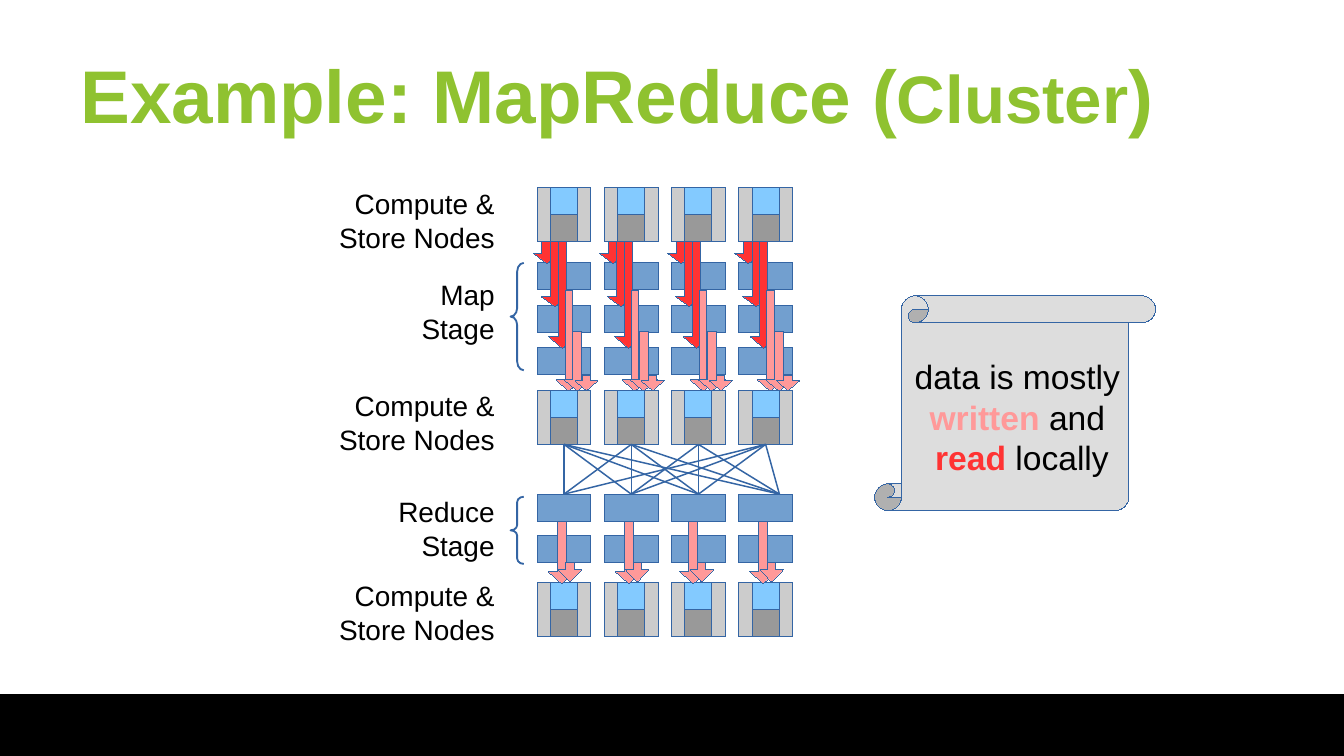
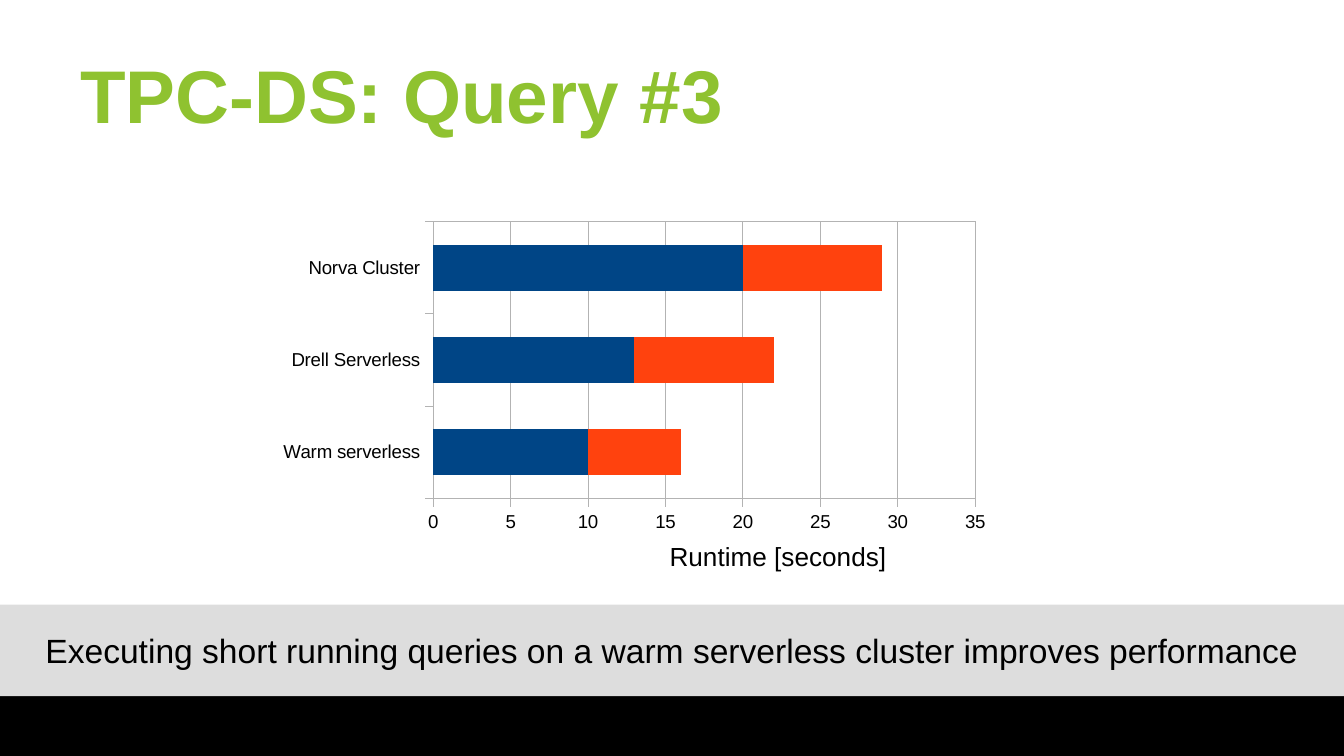
from dataclasses import dataclass
from typing import NamedTuple

from lxml import etree
from pptx import Presentation
from pptx import util as u
from pptx.chart import data
from pptx.dml.color import RGBColor
from pptx.enum import chart as ch
from pptx.enum import shapes as sh
from pptx.enum import text as tx
from pptx.oxml import ns

FONT = "Arial"
GREEN = RGBColor(0x8F, 0xC2, 0x30)
BLACK = RGBColor(0x00, 0x00, 0x00)
OUTLINE = RGBColor(0x34, 0x65, 0xA4)
STAGE = RGBColor(0x72, 0x9F, 0xCF)
NODE = RGBColor(0xCC, 0xCC, 0xCC)
STORE = RGBColor(0x99, 0x99, 0x99)
COMPUTE = RGBColor(0x83, 0xCA, 0xFF)
READ = RGBColor(0xFF, 0x33, 0x33)
WRITTEN = RGBColor(0xFF, 0x99, 0x99)
PALE = RGBColor(0xDD, 0xDD, 0xDD)
GRID = RGBColor(0xB3, 0xB3, 0xB3)
NAVY = RGBColor(0x00, 0x45, 0x86)
ORANGE = RGBColor(0xFF, 0x42, 0x0E)

HAIRLINE = 0.01
SLIDE_WIDTH, SLIDE_HEIGHT = 25.4, 14.29
COLUMNS = [10.15 + 1.27 * column for column in range(4)]
NODE_SIZE, HALF = 1.02, 0.51
NODE_TOPS = (3.55, 7.38, 11.01)
MAP_TOPS = (4.97, 5.77, 6.57)
REDUCE_TOPS = (9.34, 10.13)
LABEL_RIGHT = 9.6


class Box(NamedTuple):
    left: float
    top: float
    width: float
    height: float

    def lengths(self) -> list:
        return [u.Cm(value) for value in self]


class Run(NamedTuple):
    text: str
    color: RGBColor = BLACK
    bold: bool = False


@dataclass(frozen=True)
class Arrow:
    offset: float
    top: float
    width: float
    height: float
    adjust: tuple
    color: RGBColor


@dataclass(frozen=True)
class Label:
    text: str
    top: float
    width: float
    height: float


MAP_LEFTS = (10.08, 11.33, 12.62, 13.89)
MAP_ARROWS = (
    Arrow(0, 4.57, 0.51, 0.41, (0.36, 0.47), READ),
    Arrow(0.15, 4.57, 0.51, 1.22, (0.32, 0.36), READ),
    Arrow(0.29, 4.57, 0.51, 2.01, (0.29, 0.43), READ),
    Arrow(0.43, 5.49, 0.48, 1.9, (0.29, 0.43), WRITTEN),
    Arrow(0.58, 6.27, 0.51, 1.12, (0.33, 0.42), WRITTEN),
    Arrow(0.79, 7.09, 0.43, 0.29, (0.36, 0.63), WRITTEN),
)
REDUCE_LEFTS = (10.36, 11.63, 12.85, 14.17)
REDUCE_ARROWS = (
    Arrow(0, 9.86, 0.51, 1.17, (0.33, 0.44), WRITTEN),
    Arrow(0.2, 10.64, 0.43, 0.36, (0.36, 0.63), WRITTEN),
)
LABELS = (
    Label("Compute & Store Nodes", 3.4, 4.27, 1.42),
    Label("Map Stage", 5.13, 2.24, 1.68),
    Label("Compute & Store Nodes", 7.22, 4.27, 1.42),
    Label("Reduce Stage", 9.23, 3, 1.93),
    Label("Compute & Store Nodes", 10.82, 4.27, 1.42),
)
BRACES = (
    (Box(9.65, 4.97, 0.25, 2.03), 0.65),
    (Box(9.65, 9.39, 0.25, 1.27), 0.4),
)
REMARK = (
    (Run("data is mostly "),),
    (Run("written", WRITTEN, True), Run(" and ")),
    (Run("read", READ, True), Run(" locally")),
)


def write(paragraph, text: str, *, size: float, color: RGBColor = BLACK,
          bold: bool = False, align=tx.PP_ALIGN.LEFT) -> None:
    paragraph.alignment = align
    run = paragraph.add_run()
    run.text = text
    run.font.name = FONT
    run.font.size = u.Pt(size)
    run.font.bold = bold
    run.font.color.rgb = color


def add_frame(slide, box: Box, wrap: bool = True):
    frame = slide.shapes.add_textbox(*box.lengths()).text_frame
    frame.word_wrap = wrap
    return frame


def add_block(shapes, box: Box, fill=None, line=None, line_width: float = HAIRLINE,
              kind=sh.MSO_SHAPE.RECTANGLE, adjust: tuple = ()):
    block = shapes.add_shape(kind, *box.lengths())
    block.shadow.inherit = False
    for index, value in enumerate(adjust):
        block.adjustments[index] = value
    if fill is None:
        block.fill.background()
    else:
        block.fill.solid()
        block.fill.fore_color.rgb = fill
    if line is None:
        block.line.fill.background()
    else:
        block.line.color.rgb = line
        block.line.width = u.Pt(line_width)
    return block


def add_slide(deck, title: tuple):
    slide = deck.slides.add_slide(deck.slide_layouts[6])
    add_block(slide.shapes, Box(0, 13.12, SLIDE_WIDTH, 1.17), BLACK)
    frame = add_frame(slide, Box(1.27, 0.58, 22.86, 2.39))
    frame.vertical_anchor = tx.MSO_ANCHOR.MIDDLE
    for text, size in title:
        write(frame.paragraphs[0], text, size=size, color=GREEN, bold=True)
    return slide


def add_stage_row(slide, top: float) -> list:
    return [add_block(slide.shapes, Box(left, top, NODE_SIZE, HALF), STAGE, OUTLINE)
            for left in COLUMNS]


def add_node_row(slide, top: float) -> list:
    row = slide.shapes.add_group_shape().shapes
    nodes = []
    for left in COLUMNS:
        inner = left + HALF / 2
        nodes.append(add_block(row, Box(left, top, NODE_SIZE, NODE_SIZE), NODE, OUTLINE))
        add_block(row, Box(inner, top + HALF, HALF, HALF), STORE, OUTLINE)
        add_block(row, Box(inner, top, HALF, HALF), COMPUTE, OUTLINE)
    return nodes


def add_shuffle(slide, nodes: list, reducers: list) -> None:
    last = len(reducers) - 1
    for source, node in enumerate(nodes):
        for target, reducer in enumerate(reducers):
            if (source, target) == (2, 0):
                continue
            link = slide.shapes.add_connector(
                sh.MSO_CONNECTOR.STRAIGHT, 0, 0, u.Cm(14.73), u.Cm(REDUCE_TOPS[0]))
            link.begin_connect(node, 2)
            if target != last:
                link.end_connect(reducer, 0)
            link.line.color.rgb = OUTLINE
            link.line.width = u.Pt(0.79)
            etree.SubElement(link._element.spPr, ns.qn("a:effectLst"))


def add_arrows(slide, lefts: tuple, arrows: tuple) -> None:
    for left in lefts:
        for arrow in arrows:
            box = Box(left + arrow.offset, arrow.top, arrow.width, arrow.height)
            add_block(slide.shapes, box, arrow.color, OUTLINE,
                      kind=sh.MSO_SHAPE.DOWN_ARROW, adjust=arrow.adjust)


def add_label(slide, label: Label) -> None:
    box = Box(LABEL_RIGHT - label.width, label.top, label.width, label.height)
    write(add_frame(slide, box).paragraphs[0], label.text, size=15,
          align=tx.PP_ALIGN.RIGHT)


def build_cluster(deck) -> None:
    slide = add_slide(deck, (("Example: MapReduce (", 40), ("Cluster", 36), (")", 40)))
    for top in MAP_TOPS:
        add_stage_row(slide, top)
    reducers, _ = [add_stage_row(slide, top) for top in REDUCE_TOPS]
    _, mapped, _ = [add_node_row(slide, top) for top in NODE_TOPS]
    add_shuffle(slide, mapped, reducers)
    add_arrows(slide, MAP_LEFTS, MAP_ARROWS)
    add_arrows(slide, REDUCE_LEFTS, REDUCE_ARROWS)
    for box, curl in BRACES:
        add_block(slide.shapes, box, line=OUTLINE, line_width=1,
                  kind=sh.MSO_SHAPE.LEFT_BRACE, adjust=(curl,))
    for label in LABELS:
        add_label(slide, label)
    add_block(slide.shapes, Box(16.53, 5.59, 5.31, 4.06), PALE, OUTLINE,
              kind=sh.MSO_SHAPE.VERTICAL_SCROLL, adjust=(0.125,))
    frame = add_frame(slide, Box(17.03, 6.61, 4.57, 2.39), wrap=False)
    for index, line in enumerate(REMARK):
        paragraph = frame.add_paragraph() if index else frame.paragraphs[0]
        for run in line:
            write(paragraph, run.text, size=18, color=run.color, bold=run.bold,
                  align=tx.PP_ALIGN.CENTER)


def style_line(line) -> None:
    line.color.rgb = GRID
    line.width = u.Pt(HAIRLINE)


def add_runtime_chart(slide) -> None:
    runtimes = data.CategoryChartData()
    runtimes.categories = ["Warm serverless", "Drell Serverless", "Norva Cluster"]
    runtimes.add_series("Series 1", (10, 13, 20))
    runtimes.add_series("Series 2", (6, 9, 9))
    chart = slide.shapes.add_chart(
        ch.XL_CHART_TYPE.BAR_STACKED, *Box(5.08, 4.07, 13.82, 6.12).lengths(),
        runtimes).chart
    chart.has_legend = False
    chart.has_title = False
    chart.font.name = FONT
    chart.font.size = u.Pt(10)
    chart.font.color.rgb = BLACK
    bars = chart.plots[0]
    bars.gap_width = 100
    bars.overlap = 100
    bars.vary_by_categories = False
    for series, color in zip(bars.series, (NAVY, ORANGE)):
        series.format.fill.solid()
        series.format.fill.fore_color.rgb = color
    for axis in (chart.category_axis, chart.value_axis):
        axis.major_tick_mark = ch.XL_TICK_MARK.OUTSIDE
        axis.minor_tick_mark = ch.XL_TICK_MARK.NONE
        style_line(axis.format.line)
    seconds = chart.value_axis
    seconds.minimum_scale, seconds.maximum_scale, seconds.major_unit = 0, 35, 5
    style_line(seconds.major_gridlines.format.line)
    area = chart._chartSpace.chart.plotArea
    wall = etree.SubElement(area, ns.qn("c:spPr"))
    etree.SubElement(wall, ns.qn("a:noFill"))
    border = etree.SubElement(wall, ns.qn("a:ln"), w="0")
    paint = etree.SubElement(border, ns.qn("a:solidFill"))
    etree.SubElement(paint, ns.qn("a:srgbClr"), val=str(GRID))


def build_query(deck) -> None:
    slide = add_slide(deck, (("TPC-DS: Query #3", 40),))
    add_runtime_chart(slide)
    caption = add_frame(slide, Box(8.14, 10.09, 10.41, 0.81))
    caption.margin_left = u.Cm(2.97)
    write(caption.paragraphs[0], "Runtime [seconds]", size=14,
          align=tx.PP_ALIGN.CENTER)
    conclusion = add_block(slide.shapes, Box(0, 11.43, SLIDE_WIDTH, 1.73), PALE).text_frame
    conclusion.word_wrap = False
    conclusion.vertical_anchor = tx.MSO_ANCHOR.MIDDLE
    write(conclusion.paragraphs[0],
          "Executing short running queries on a warm serverless cluster improves performance",
          size=18, align=tx.PP_ALIGN.CENTER)


def main() -> None:
    deck = Presentation()
    deck.slide_width = u.Cm(SLIDE_WIDTH)
    deck.slide_height = u.Cm(SLIDE_HEIGHT)
    build_cluster(deck)
    build_query(deck)
    deck.save("out.pptx")


if __name__ == "__main__":
    main()
